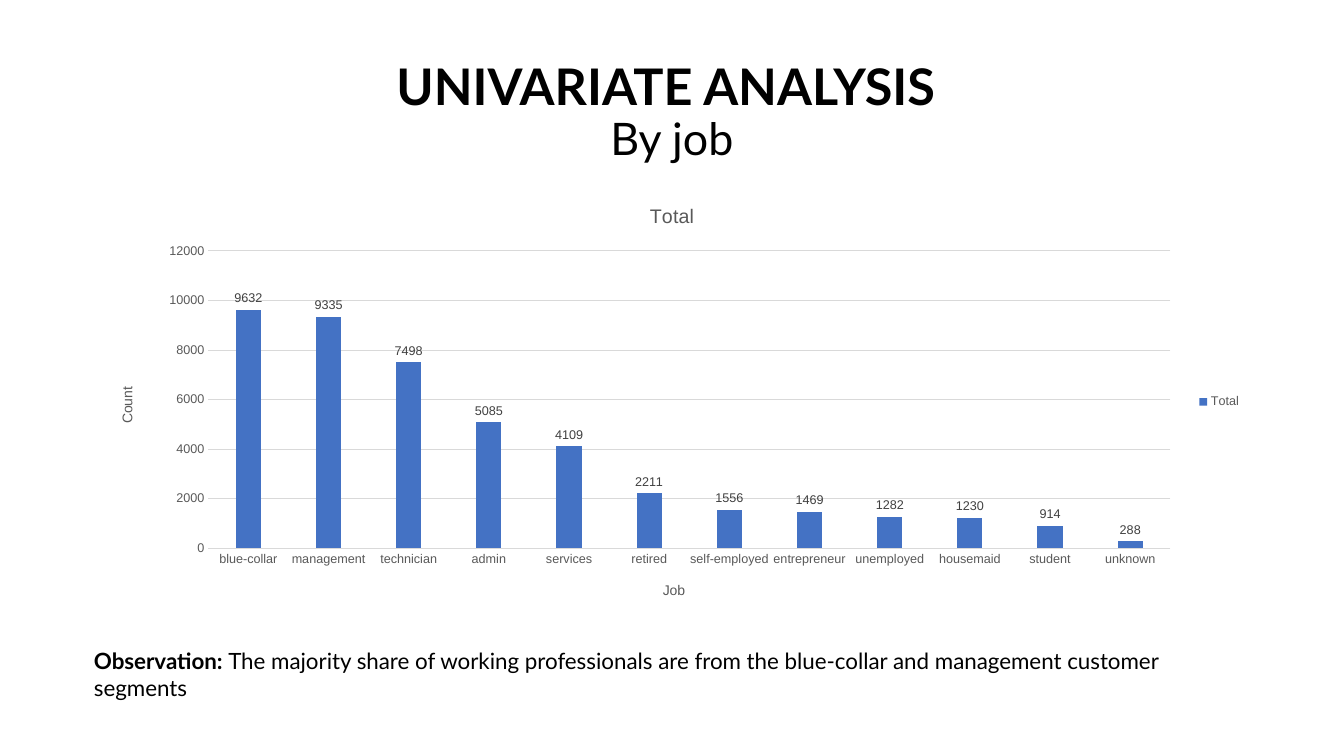
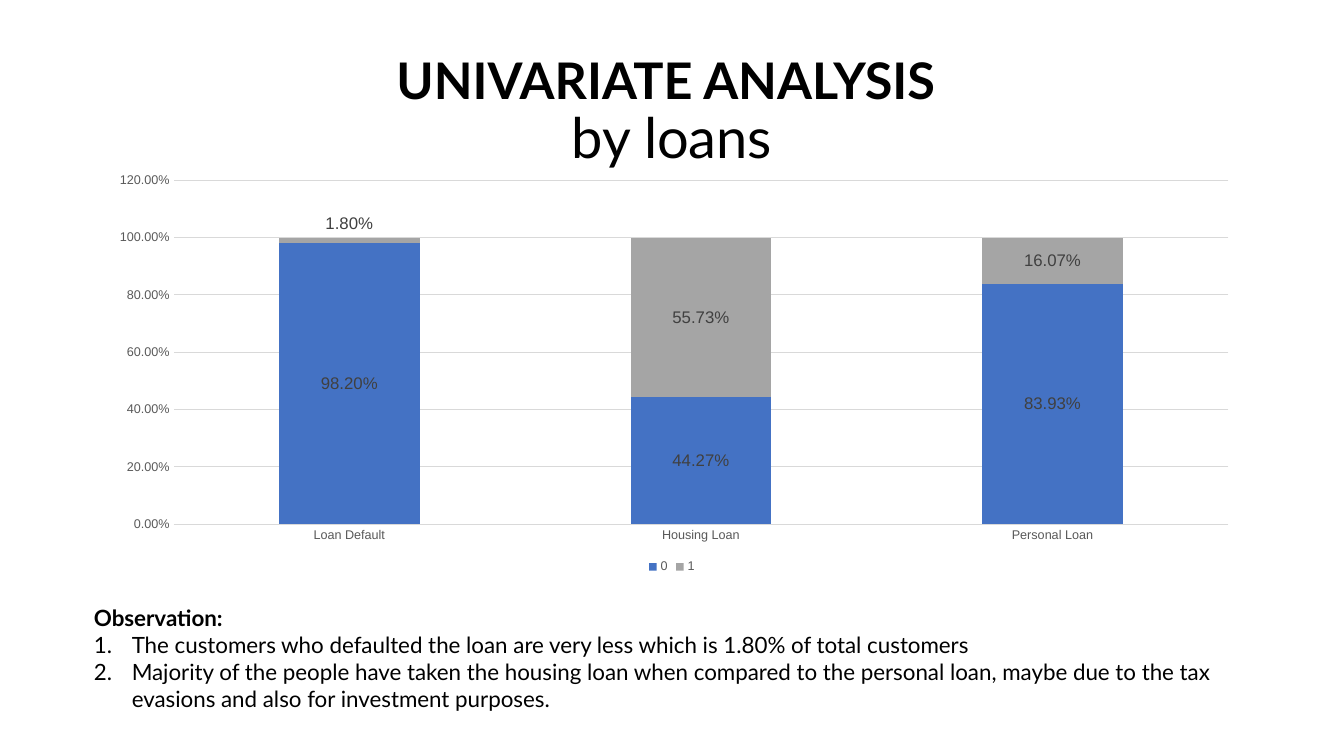
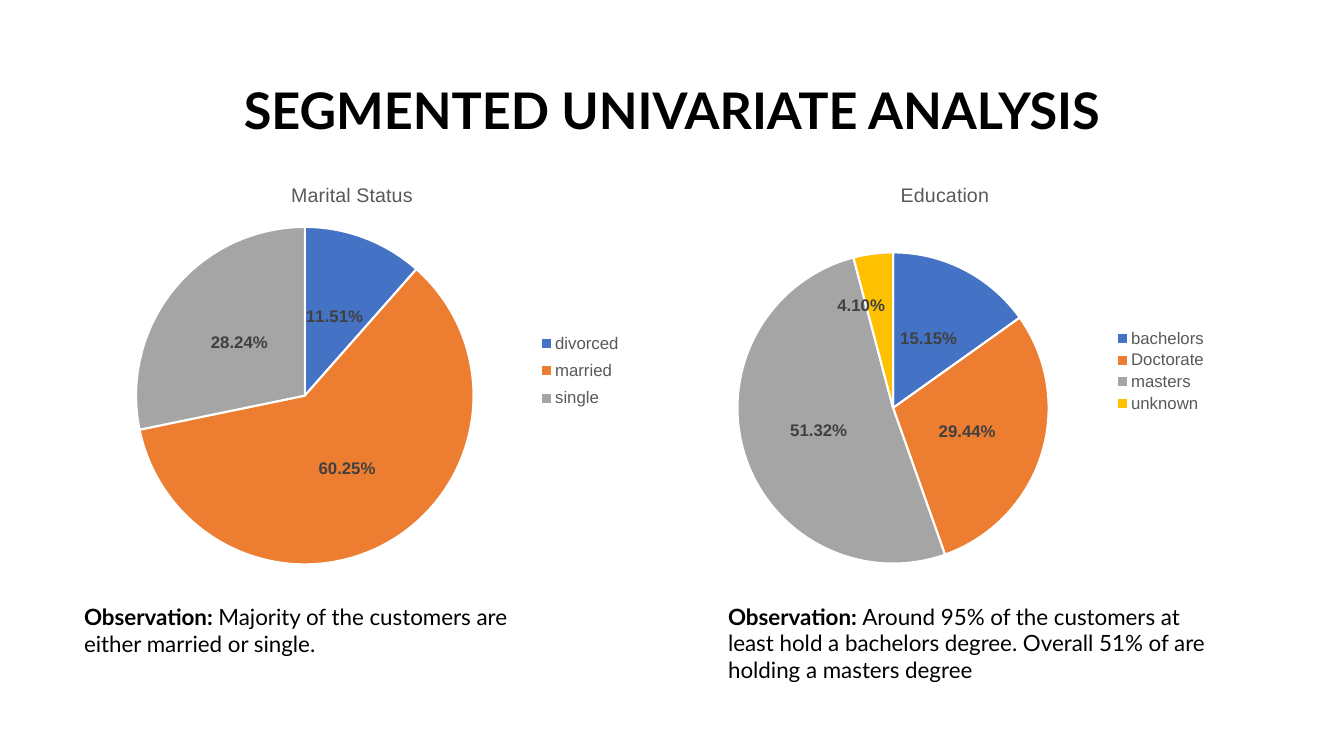
from copy import deepcopy

from lxml.etree import SubElement
from pptx import Presentation
from pptx.chart.data import CategoryChartData
from pptx.dml.color import RGBColor
from pptx.enum.chart import XL_CHART_TYPE, XL_LABEL_POSITION, XL_LEGEND_POSITION, XL_TICK_MARK
from pptx.enum.text import MSO_ANCHOR, PP_ALIGN
from pptx.oxml import parse_xml
from pptx.oxml.ns import nsdecls, qn
from pptx.util import Pt

COLORS = {
    "text": "000000", "muted": "595959", "label": "404040", "grid": "D9D9D9",
    "white": "FFFFFF", "blue": "4472C4", "orange": "ED7D31", "gray": "A5A5A5", "gold": "FFC000",
}
TEXT_FONT, CHART_FONT = "Lato", "Arial"
PERCENT = "0.00%"


def rgb(name):
    return RGBColor.from_string(COLORS[name])


def style_font(font, size, color, name=CHART_FONT, bold=False):
    font.size, font.name, font.bold = Pt(size), name, bold
    font.color.rgb = rgb(color)


def write(paragraph, text, size=16, color="text", font=TEXT_FONT, bold=False):
    """Append text to a paragraph; a newline becomes a line break."""
    for i, line in enumerate(text.split("\n")):
        if i:
            paragraph.add_line_break()
        if line:
            run = paragraph.add_run()
            run.text = line
            style_font(run.font, size, color, font, bold)


def number(paragraph, indent=27):
    """Turn a paragraph into an item of a numbered list."""
    props = paragraph._p.get_or_add_pPr()
    props.set("marL", str(Pt(indent)))
    props.set("indent", str(-Pt(indent)))
    SubElement(props, qn("a:buFont")).set("typeface", TEXT_FONT)
    SubElement(props, qn("a:buAutoNum")).set("type", "arabicPeriod")


def place(part, x, y, w=None, h=None):
    """Give a chart part a manual layout in fractions of the chart."""
    is_plot = part.tag == qn("c:plotArea")
    for old in part.findall(qn("c:layout")):
        part.remove(old)
    layout = parse_xml(f"<c:layout {nsdecls('c')}><c:manualLayout/></c:layout>")
    settings = [("layoutTarget", "inner")] if is_plot else []
    if part.tag != qn("c:dLbl"):
        settings += [("xMode", "edge"), ("yMode", "edge")]
    settings += [("x", x), ("y", y), ("w", w), ("h", h)]
    for tag, value in settings:
        if value is not None:
            SubElement(layout[0], qn(f"c:{tag}")).set("val", str(value))
    part.insert(0 if is_plot else 1, layout)


def shift_label(labels, index, x, y):
    """Move one data label away from its usual place."""
    shared = labels._element
    label = parse_xml(f'<c:dLbl {nsdecls("c")}><c:idx val="{index}"/></c:dLbl>')
    for child in shared:
        if child.tag != qn("c:showLeaderLines"):
            label.append(deepcopy(child))
    place(label, x, y)
    shared.insert(0, label)


class Deck:
    def __init__(self):
        self.prs = Presentation()
        self.prs.slide_width, self.prs.slide_height = Pt(960), Pt(540)
        self.slide = None

    def new_slide(self, heading, subtitle="", subtitle_size=32):
        self.slide = self.prs.slides.add_slide(self.prs.slide_layouts[6])
        frame = self.text_frame(66, 29, 828, 104)
        frame.vertical_anchor = MSO_ANCHOR.MIDDLE
        title = frame.paragraphs[0]
        title.alignment, title.line_spacing = PP_ALIGN.CENTER, 0.9
        write(title, heading, size=36, bold=True)
        write(title, subtitle, size=subtitle_size)

    def text_frame(self, *box):
        frame = self.slide.shapes.add_textbox(*map(Pt, box)).text_frame
        frame.word_wrap = True
        return frame

    def observation(self, box, text="", items=()):
        frame = self.text_frame(*box)
        lead = frame.paragraphs[0]
        write(lead, "Observation: " if text else "Observation:", bold=True)
        write(lead, text)
        for item in items:
            paragraph = frame.add_paragraph()
            number(paragraph)
            write(paragraph, item)

    def chart(self, kind, box, categories, series, plot, title=None):
        data = CategoryChartData()
        data.categories = categories
        for name, values in series.items():
            data.add_series(name, values)
        chart = self.slide.shapes.add_chart(kind, *map(Pt, box), data).chart
        style_font(chart.font, 10, "text")
        chart.has_title = title is not None
        if title:
            write(chart.chart_title.text_frame.paragraphs[0], title, 14, "muted", CHART_FONT)
        place(chart._chartSpace.chart.plotArea, *plot)
        return chart

    def legend(self, chart, position, size=9, layout=None):
        chart.has_legend = True
        legend = chart.legend
        legend.position, legend.include_in_layout = position, False
        style_font(legend.font, size, "muted")
        if layout:
            place(legend._element, *layout)

    def labels(self, series, size, position, number_format="General", bold=False):
        labels = series.data_labels
        labels.show_value, labels.position = True, position
        labels.number_format, labels.number_format_is_linked = number_format, False
        style_font(labels.font, size, "label", bold=bold)
        return labels

    def axis_title(self, axis, text, x, y):
        title = axis.axis_title
        write(title.text_frame.paragraphs[0], text, 10, "muted", CHART_FONT)
        place(title._element, x, y)
        return title

    def columns(self, chart, colors, gap, overlap, top, step, number_format="General"):
        plot = chart.plots[0]
        plot.gap_width, plot.overlap, plot.vary_by_categories = gap, overlap, False
        for series, color in zip(plot.series, colors):
            series.format.fill.solid()
            series.format.fill.fore_color.rgb = rgb(color)
        across, up = chart.category_axis, chart.value_axis
        for axis in (across, up):
            axis.major_tick_mark = axis.minor_tick_mark = XL_TICK_MARK.NONE
            style_font(axis.tick_labels.font, 9, "muted")
        up.minimum_scale, up.maximum_scale, up.major_unit = 0, top, step
        up.tick_labels.number_format = number_format
        up.tick_labels.number_format_is_linked = False
        up.format.line.fill.background()
        for line in (across.format.line, up.major_gridlines.format.line):
            line.color.rgb, line.width = rgb("grid"), Pt(0.75)

    def pie(self, box, title, shares, plot, legend):
        chart = self.chart(XL_CHART_TYPE.PIE, box, list(shares),
                           {"Series 1": list(shares.values())}, plot, title)
        self.legend(chart, XL_LEGEND_POSITION.RIGHT, 12, legend)
        series = chart.plots[0].series[0]
        for i, color in zip(range(len(shares)), ("blue", "orange", "gray", "gold")):
            slice_format = series.points[i].format
            slice_format.fill.solid()
            slice_format.fill.fore_color.rgb = rgb(color)
            slice_format.line.color.rgb, slice_format.line.width = rgb("white"), Pt(1.5)
        return self.labels(series, 12, XL_LABEL_POSITION.CENTER, '0.00"%"', bold=True)


def job_slide(deck):
    deck.new_slide("UNIVARIATE ANALYSIS \n", "By job")
    jobs = {
        "blue-collar": 9632, "management": 9335, "technician": 7498, "admin": 5085,
        "services": 4109, "retired": 2211, "self-employed": 1556, "entrepreneur": 1469,
        "unemployed": 1282, "housemaid": 1230, "student": 914, "unknown": 288,
    }
    chart = deck.chart(XL_CHART_TYPE.COLUMN_CLUSTERED, (66, 133, 828, 308), list(jobs),
                       {"Total": list(jobs.values())}, (0.1, 0.15, 0.83, 0.69), "Total")
    deck.columns(chart, ["blue"], 219, -27, 12000, 2000)
    deck.labels(chart.plots[0].series[0], 9, XL_LABEL_POSITION.OUTSIDE_END)
    deck.legend(chart, XL_LEGEND_POSITION.RIGHT)
    deck.axis_title(chart.category_axis, "Job", 0.49, 0.91)
    count = deck.axis_title(chart.value_axis, "Count", 0.02, 0.46)
    body = count._element.find(".//" + qn("a:bodyPr"))
    body.set("rot", "-5400000")
    body.set("vert", "horz")
    deck.observation((60, 459, 841, 46), "The majority share of working professionals are from "
                     "the blue-collar and management customer segments")


def loan_slide(deck):
    deck.new_slide("UNIVARIATE ANALYSIS \n", "by loans", 40)
    chart = deck.chart(XL_CHART_TYPE.COLUMN_STACKED, (66, 117, 828, 296),
                       ["Loan Default", "Housing Loan", "Personal Loan"],
                       {"0": [0.982, 0.4427, 0.8393], "1": [0.018, 0.5573, 0.1607]},
                       (0.07, 0.04, 0.91, 0.83))
    deck.columns(chart, ["blue", "gray"], 150, 100, 1.2, 0.2, PERCENT)
    no_loan, has_loan = (deck.labels(series, 12, XL_LABEL_POSITION.CENTER, PERCENT)
                         for series in chart.plots[0].series)
    shift_label(has_loan, 0, 0, -0.04)
    deck.legend(chart, XL_LEGEND_POSITION.BOTTOM)
    deck.observation((60, 428, 841, 85), items=[
        "The customers who defaulted the loan are very less which is 1.80% of total customers",
        "Majority of the people have taken the housing loan when compared to the personal loan, "
        "maybe due to the tax evasions and also for investment purposes.",
    ])


def segment_slide(deck):
    deck.new_slide("SEGMENTED UNIVARIATE ANALYSIS")
    deck.observation((53, 427, 357, 46),
                     "Majority of the customers are either married or single.")
    deck.observation((513, 427, 357, 66), "Around 95% of the customers at least hold a bachelors "
                     "degree. Overall 51% of are holding a masters degree")
    education = deck.pie((480, 118, 390, 294), "Education",
                         {"bachelors": 15.15, "Doctorate": 29.44, "masters": 51.32, "unknown": 4.1},
                         (0.12, 0.21, 0.57, 0.76), (0.81, 0.39, 0.17, 0.22))
    shift_label(education, 3, -0.04, -0.06)
    deck.pie((53, 118, 397, 294), "Marital Status",
             {"divorced": 11.51, "married": 60.25, "single": 28.24},
             (0.11, 0.15, 0.61, 0.82), (0.83, 0.39, 0.16, 0.22))


def main():
    deck = Deck()
    for build in (job_slide, loan_slide, segment_slide):
        build(deck)
    deck.prs.save("out.pptx")


if __name__ == "__main__":
    main()
